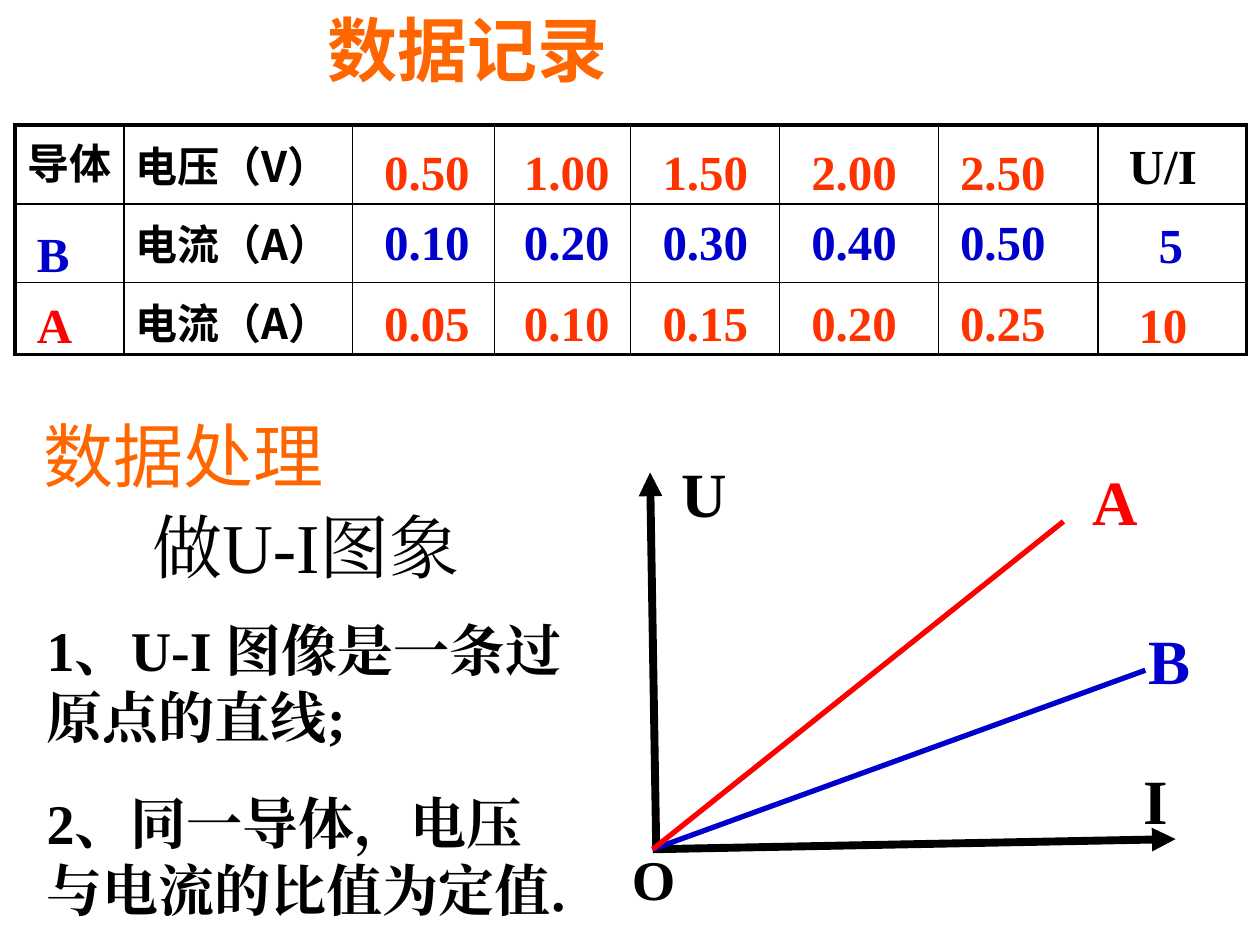
from lxml import etree
from pptx import Presentation
from pptx.dml.color import RGBColor
from pptx.enum.shapes import MSO_CONNECTOR as Connector
from pptx.enum.text import MSO_ANCHOR as Anchor, MSO_AUTO_SIZE as AutoSize, PP_ALIGN as Align
from pptx.oxml.ns import qn
from pptx.util import Pt

SERIF, SANS, CJK = "Times New Roman", "Arial", "Noto Sans CJK SC"
BLACK, ORANGE, RED, BLUE, VERMILION = "000000", "FF6600", "FF0000", "0000CC", "FF3300"

COLUMN_WIDTHS = [62.5, 130.5, 81, 78, 85, 91, 91, 85]
ROW_HEIGHTS = [45, 45, 41]
VALUE_LEFTS = [212.4, 292.3, 371.5, 456.5, 541.5]
VALUE_ROWS = [
    (75, VERMILION, ["0.50", "1.00", "1.50", "2.00", "2.50"]),
    (114.5, BLUE, ["0.10", "0.20", "0.30", "0.40", "0.50"]),
    (161, VERMILION, ["0.05", "0.10", "0.15", "0.20", "0.25"]),
]


def color(hex_value):
    return RGBColor.from_string(hex_value)


def place(shape, left, top, width, height):
    shape.left, shape.top = Pt(left), Pt(top)
    shape.width, shape.height = Pt(width), Pt(height)


def format_paragraph(paragraph, font_name, size, hex_value, bold=True):
    paragraph.alignment = Align.LEFT
    paragraph.space_before = Pt(0)
    for run in paragraph.runs:
        font = run.font
        font.name, font.size, font.bold = font_name, Pt(size), bold
        font.color.rgb = color(hex_value)
        east_asian = etree.Element(qn("a:ea"), typeface=font_name)
        font._element.find(qn("a:latin")).addnext(east_asian)


def prepare_frame(text_frame, anchor):
    text_frame.word_wrap = True
    text_frame.auto_size = AutoSize.NONE
    text_frame.vertical_anchor = anchor


def add_label(slide, text, box, font_name, size, hex_value):
    shape = slide.shapes.add_textbox(*map(Pt, box))
    text_frame = shape.text_frame
    prepare_frame(text_frame, Anchor.MIDDLE)
    if font_name == SERIF:
        text_frame.margin_top = Pt(8.4)
    text_frame.text = text
    format_paragraph(text_frame.paragraphs[0], font_name, size, hex_value)


def add_line(slide, start, end, hex_value, width, arrow=False):
    connector = slide.shapes.add_connector(Connector.STRAIGHT, *map(Pt, start + end))
    connector.line.color.rgb = color(hex_value)
    connector.line.width = Pt(width)
    if arrow:
        etree.SubElement(connector.line._get_or_add_ln(), qn("a:tailEnd"), type="triangle")
    etree.SubElement(connector._element.spPr, qn("a:effectLst"))


def set_border(cell, side, width):
    line = etree.SubElement(cell._tc.get_or_add_tcPr(), qn(f"a:{side}"), w=str(Pt(width)))
    fill = etree.SubElement(line, qn("a:solidFill"))
    etree.SubElement(fill, qn("a:srgbClr"), val=BLACK)


def add_grid(slide):
    rows, columns = len(ROW_HEIGHTS), len(COLUMN_WIDTHS)
    frame = slide.shapes.add_table(rows, columns, Pt(8.5), Pt(71.5),
                                   Pt(sum(COLUMN_WIDTHS)), Pt(sum(ROW_HEIGHTS)))
    table = frame.table
    table.first_row = table.horz_banding = False
    for column, width in zip(table.columns, COLUMN_WIDTHS):
        column.width = Pt(width)
    for row, height in zip(table.rows, ROW_HEIGHTS):
        row.height = Pt(height)
    for r in range(rows):
        for c in range(columns):
            cell = table.cell(r, c)
            outer = {"lnL": c == 0, "lnR": c == columns - 1,
                     "lnT": r == 0, "lnB": r == rows - 1}
            for side, is_outer in outer.items():
                set_border(cell, side, 2.25 if is_outer else 1)
            cell.fill.background()


def add_table_labels(slide):
    # Measured values
    for top, hex_value, values in VALUE_ROWS:
        for left, value in zip(VALUE_LEFTS, values):
            add_label(slide, value, (left, top, 76, 41), SERIF, 28, hex_value)
    # Row headings
    for text, left, top, width in [("导体", 8.5, 75, 80), ("电压（V）", 70.5, 77, 153),
                                   ("电流（A）", 70.5, 121, 153), ("电流（A）", 70.5, 166.5, 153)]:
        add_label(slide, text, (left, top, width, 36), CJK, 24, BLACK)
    # Conductors and ratios
    for text, left, top, hex_value in [("B", 14, 121.5, BLUE), ("A", 14, 162, RED),
                                       ("U/I", 638, 71.5, BLACK), ("5", 655, 116.5, BLUE),
                                       ("10", 643.5, 162, VERMILION)]:
        add_label(slide, text, (left, top, 57, 41), SERIF, 28, hex_value)


def add_heading(slide):
    shape = slide.shapes.add_textbox(Pt(18), Pt(232), Pt(290), Pt(103))
    text_frame = shape.text_frame
    prepare_frame(text_frame, Anchor.TOP)
    text_frame.text = "数据处理\n做U-I图象"
    heading, task = text_frame.paragraphs
    format_paragraph(heading, SANS, 40, ORANGE, bold=False)
    format_paragraph(task, SERIF, 40, BLACK, bold=False)
    task.space_before = Pt(4)
    task._p.get_or_add_pPr().set("marL", str(Pt(62)))


def fill_conclusions(body):
    place(body, 19.5, 348, 317.5, 178)
    text_frame = body.text_frame
    prepare_frame(text_frame, Anchor.TOP)
    text_frame.text = "1、U-I 图像是一条过原点的直线;\n2、同一导体，电压与电流的比值为定值."
    for index, paragraph in enumerate(text_frame.paragraphs):
        properties = paragraph._p.get_or_add_pPr()
        properties.set("marL", "0")
        properties.set("indent", "0")
        etree.SubElement(properties, qn("a:buNone"))
        format_paragraph(paragraph, SERIF, 32, BLACK)
        paragraph.space_before = Pt(22 * index)


def add_graph(slide):
    origin = (373, 485.3)
    # Axes
    add_line(slide, origin, (671.8, 479.5), BLACK, 4.5, arrow=True)
    add_line(slide, (375, 485.3), (371.5, 270), BLACK, 4.5, arrow=True)
    # Conductor lines
    add_line(slide, origin, (654.5, 383), BLUE, 3)
    add_line(slide, origin, (607.7, 298), RED, 3)
    # Axis and line names
    for text, left, top, size, hex_value in [("I", 646.5, 429, 36, BLACK),
                                             ("U", 382.5, 253.5, 36, BLACK),
                                             ("O", 354, 477, 32, BLACK),
                                             ("B", 649.5, 349, 36, BLUE),
                                             ("A", 617, 258.5, 36, RED)]:
        add_label(slide, text, (left, top, 52, size * 1.4), SERIF, size, hex_value)


def main():
    presentation = Presentation()
    presentation.slide_width, presentation.slide_height = Pt(720), Pt(540)
    slide = presentation.slides.add_slide(presentation.slide_layouts[1])

    # Title
    title = slide.shapes.title
    place(title, 180, 0, 181.5, 55.5)
    prepare_frame(title.text_frame, Anchor.MIDDLE)
    title.text_frame.text = "数据记录"
    format_paragraph(title.text_frame.paragraphs[0], CJK, 40, ORANGE)

    # Data table
    add_grid(slide)
    add_table_labels(slide)

    # Evaluation and graph
    add_heading(slide)
    fill_conclusions(slide.placeholders[1])
    add_graph(slide)

    presentation.save("out.pptx")


if __name__ == "__main__":
    main()
